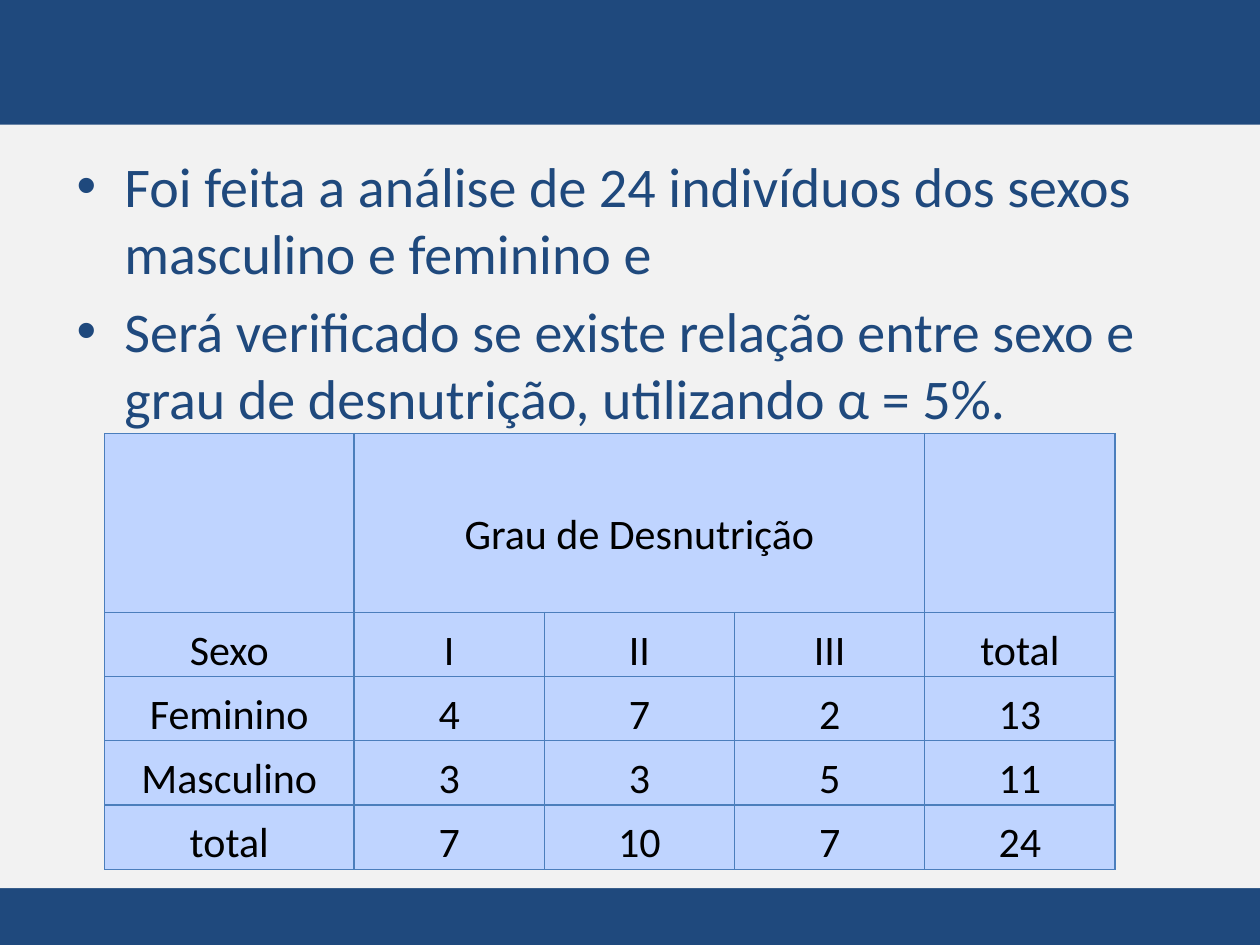
import lxml.etree
import pptx
import pptx.dml.color
import pptx.enum.shapes
import pptx.enum.text
import pptx.oxml.ns
import pptx.util
from dataclasses import dataclass

Inches = pptx.util.Inches
Pt = pptx.util.Pt
Color = pptx.dml.color.RGBColor.from_string
qn = pptx.oxml.ns.qn
Align = pptx.enum.text.PP_ALIGN
Anchor = pptx.enum.text.MSO_ANCHOR


@dataclass(frozen=True)
class Theme:
    navy: str = "1F497D"
    pale: str = "F2F2F2"
    cell: str = "BFD4FF"
    edge: str = "4B7EBC"
    ink: str = "000000"
    font: str = "Calibri"
    body: int = 32
    grid: int = 24
    rule: float = 0.75


def apply(item, values):
    for name, value in values.items():
        setattr(item, name, value)


class Page:
    def __init__(self, slide, theme):
        self.slide = slide
        self.theme = theme

    def ground(self):
        fill = self.slide.background.fill
        fill.solid()
        fill.fore_color.rgb = Color(self.theme.navy)

    def panel(self, *box):
        kind = pptx.enum.shapes.MSO_SHAPE.RECTANGLE
        shape = self.slide.shapes.add_shape(kind, *map(Inches, box))
        shape.shadow.inherit = False
        shape.fill.solid()
        shape.fill.fore_color.rgb = Color(self.theme.pale)
        shape.line.fill.background()

    def label(self, para, text, size, color):
        run = para.add_run()
        run.text = text
        apply(run.font, {"name": self.theme.font, "size": Pt(size)})
        run.font.color.rgb = Color(color)

    def bullets(self, lines, *box):
        frame = self.slide.shapes.add_textbox(*map(Inches, box)).text_frame
        frame.word_wrap = True
        for index, line in enumerate(lines):
            para = frame.add_paragraph() if index else frame.paragraphs[0]
            para.space_before = Pt(0.2 * self.theme.body)
            props = para._p.get_or_add_pPr()
            props.set("marL", str(Inches(0.38)))
            props.set("indent", str(-Inches(0.38)))
            font = lxml.etree.SubElement(props, qn("a:buFont"))
            font.set("typeface", "Arial")
            mark = lxml.etree.SubElement(props, qn("a:buChar"))
            mark.set("char", "•")
            self.label(para, line, self.theme.body, self.theme.navy)

    def border(self, cell):
        props = cell._tc.get_or_add_tcPr()
        for side in ("a:lnL", "a:lnR", "a:lnT", "a:lnB"):
            line = lxml.etree.SubElement(props, qn(side))
            line.set("w", str(Pt(self.theme.rule)))
            fill = lxml.etree.SubElement(line, qn("a:solidFill"))
            color = lxml.etree.SubElement(fill, qn("a:srgbClr"))
            color.set("val", self.theme.edge)

    def table(self, rows, widths, heights, left, top):
        box = (left, top, sum(widths), sum(heights))
        frame = self.slide.shapes.add_table(
            len(rows), len(widths), *map(Inches, box))
        table = frame.table
        apply(table, {"first_row": False, "horz_banding": False})
        for col, width in zip(table.columns, widths):
            col.width = Inches(width)
        for row, height in zip(table.rows, heights):
            row.height = Inches(height)
        style = {
            "vertical_anchor": Anchor.BOTTOM,
            "margin_left": Inches(0.01),
            "margin_right": Inches(0.01),
            "margin_top": Inches(0.01),
            "margin_bottom": 0,
        }
        for row, texts in zip(table.rows, rows):
            for cell, text in zip(row.cells, texts):
                self.border(cell)
                apply(cell, style)
                cell.fill.solid()
                cell.fill.fore_color.rgb = Color(self.theme.cell)
                if text:
                    para = cell.text_frame.paragraphs[0]
                    para.alignment = Align.CENTER
                    self.label(para, text, self.theme.grid, self.theme.ink)
        return table


def main():
    deck = pptx.Presentation()
    apply(deck, {"slide_width": Inches(10), "slide_height": Inches(7.5)})
    page = Page(deck.slides.add_slide(deck.slide_layouts[6]), Theme())
    page.ground()
    page.panel(0, 0.99, 10, 6.06)

    rows = [
        ["", "Grau de Desnutrição", "", "", ""],
        ["Sexo", "I", "II", "III", "total"],
        ["Feminino", "4", "7", "2", "13"],
        ["Masculino", "3", "3", "5", "11"],
        ["total", "7", "10", "7", "24"],
    ]
    table = page.table(rows, [1.98] + [1.51] * 4, [1.42] + [0.51] * 4,
                       0.83, 3.44)
    head = table.cell(0, 1)
    head.merge(table.cell(0, 3))
    head.margin_bottom = Inches(0.41)

    page.bullets([
        "Foi feita a análise de 24 indivíduos dos sexos masculino e feminino e",
        "Será verificado se existe relação entre sexo e grau de desnutrição, "
        "utilizando α = 5%.",
    ], 0.51, 1.15, 9, 4.95)
    deck.save("out.pptx")


if __name__ == "__main__":
    main()
